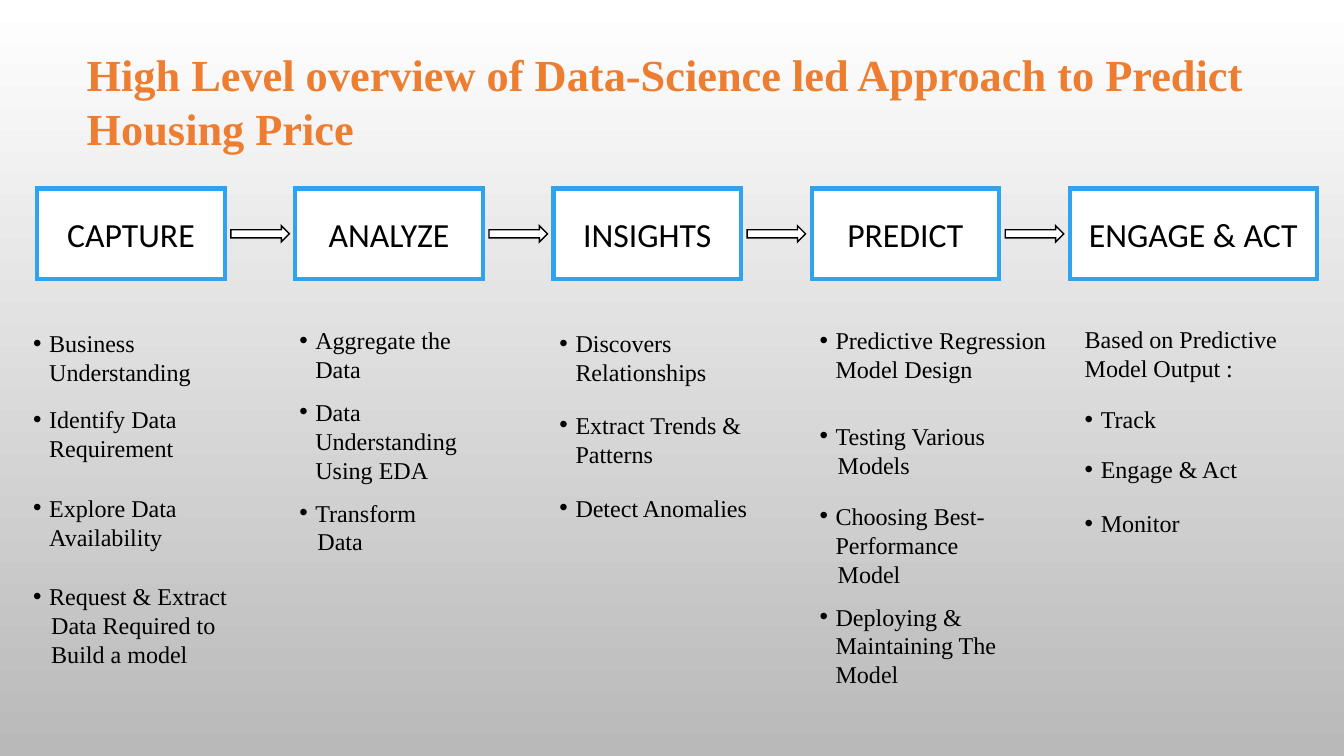
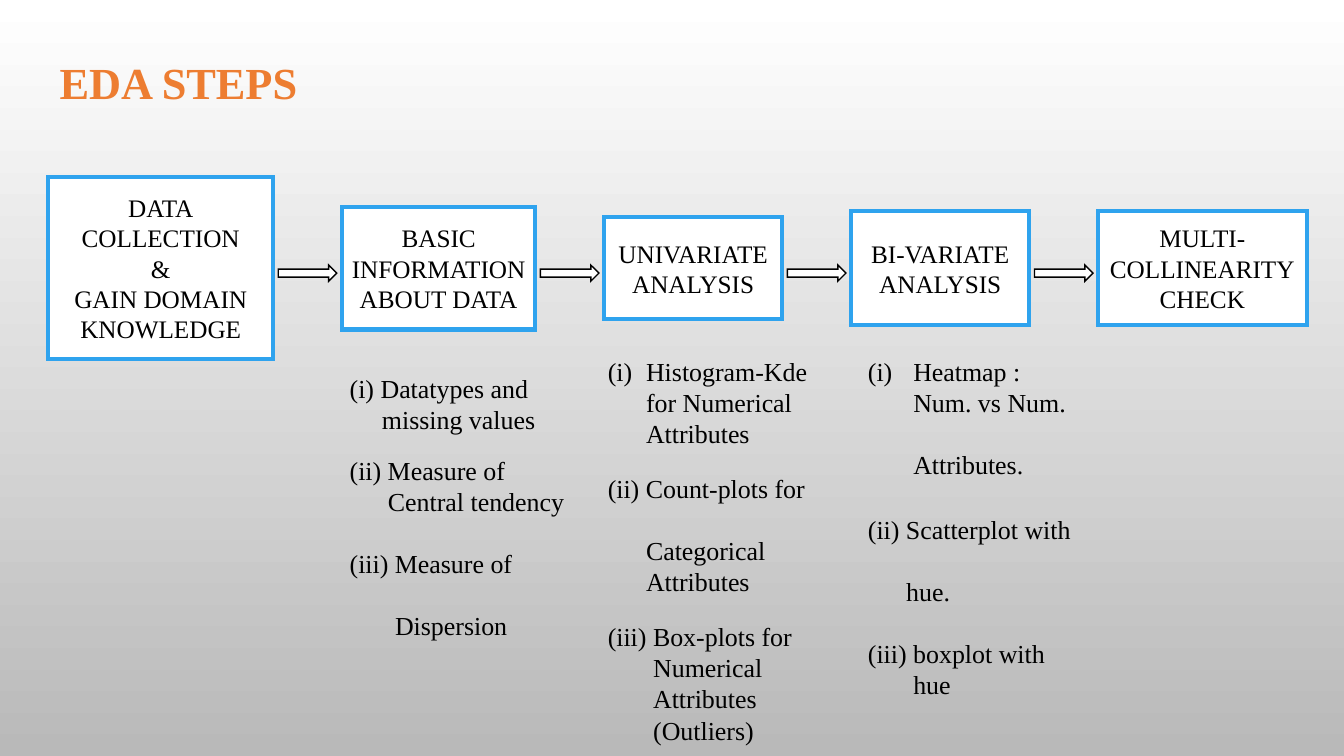
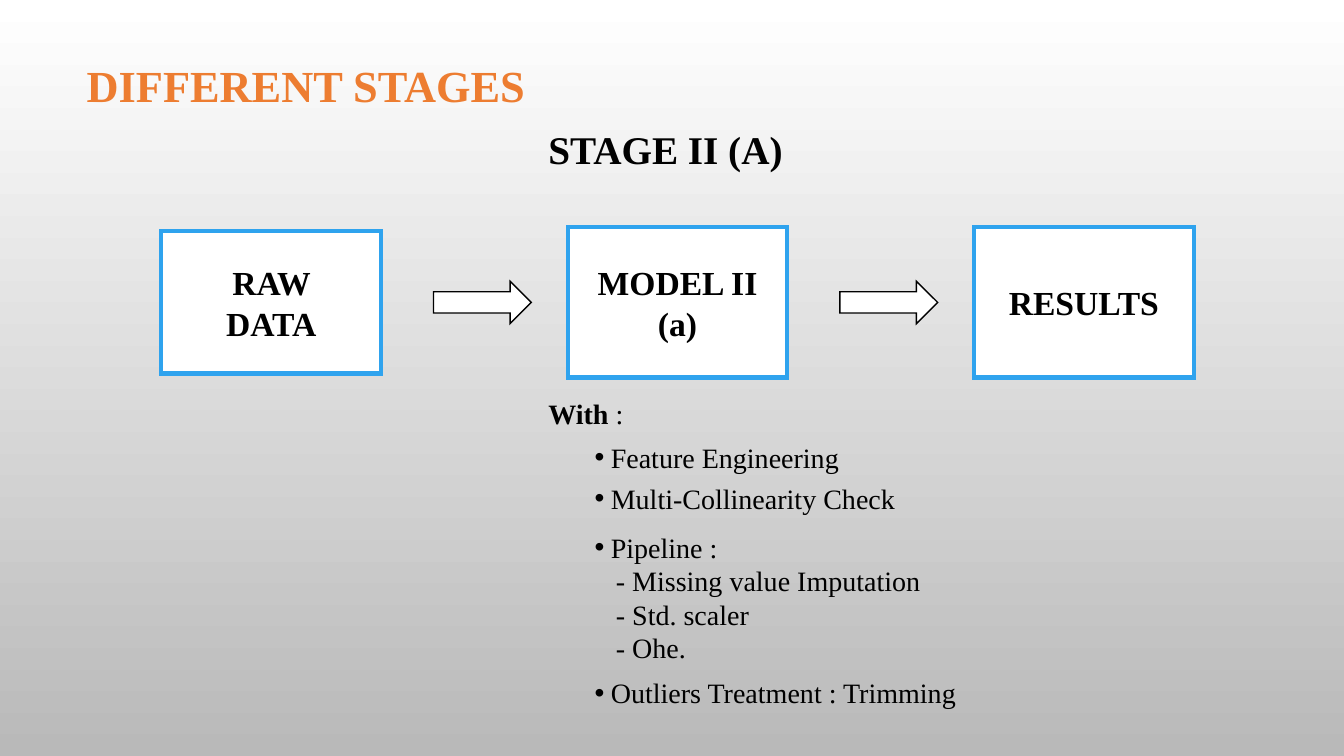
from collections import namedtuple

from lxml import etree
from pptx import Presentation
from pptx import util as u
from pptx.dml.color import RGBColor
from pptx.enum import shapes, text
from pptx.oxml.ns import qn

# All lengths are px, 100 to the inch; gaps between paragraphs and text sizes are points.
PX = 9144
COLORS = {"title": "ED7D31", "ink": "000000", "paper": "FFFFFF",
          "frame": "2FA3EE", "shade": "B9B9B9"}
RGB = {name: RGBColor.from_string(value) for name, value in COLORS.items()}
SERIF, SANS = "Times New Roman", "Calibri"
BULLET, BULLET_HANG = "• ", 16

# Indents of the lines that continue below a bullet or a numbered label
BELOW_BULLET = 18
BELOW_I, BELOW_II, BELOW_III = 32, 38, 45

# "|" in a line ends its bold lead; a tab jumps to the indent.
Line = namedtuple("Line", "text gap indent", defaults=(0, 0))
Note = namedtuple("Note", "box size lines bold", defaults=(False,))
# Steps share one horizontal axis and one spacing, with an arrow in each space.
Flow = namedtuple("Flow", "left axis spacing steps style arrow arrow_shift")
Step = namedtuple("Step", "width height label")
Page = namedtuple("Page", "title title_box flow notes")


def write(frame, lines, size, font=SERIF, bold=False, color="ink",
          align=text.PP_ALIGN.LEFT, inset=10):
    frame.word_wrap = True
    frame.margin_left = frame.margin_right = inset * PX
    frame.margin_top = frame.margin_bottom = 5 * PX
    for number, line in enumerate(lines):
        paragraph = frame.add_paragraph() if number else frame.paragraphs[0]
        paragraph.alignment = align
        paragraph.space_before = u.Pt(line.gap)

        bulleted = line.text.startswith(BULLET)
        pieces = line.text.removeprefix(BULLET).split("|")
        for piece, strong in zip(pieces, (bold, False)):
            run = paragraph.add_run()
            run.text = piece
            run.font.size = u.Pt(size)
            run.font.name = font
            run.font.bold = strong
            run.font.color.rgb = RGB[color]

        if bulleted:
            indent = hang = BULLET_HANG
        else:
            indent = line.indent
            hang = indent if "\t" in line.text else 0
        props = paragraph._p.get_or_add_pPr()
        props.set("marL", str(indent * PX))
        props.set("indent", str(-hang * PX))
        if bulleted:
            etree.SubElement(props, qn("a:buFont")).set("typeface", "Arial")
            etree.SubElement(props, qn("a:buChar")).set("char", BULLET.strip())


def add_block(slide, kind, left, middle, size, line_color, line_width):
    """Add a white outlined shape whose vertical centre is at middle."""
    width, height = size
    block = slide.shapes.add_shape(kind, left * PX, middle * PX - height * PX // 2,
                                   width * PX, height * PX)
    block.shadow.inherit = False
    block.fill.solid()
    block.fill.fore_color.rgb = RGB["paper"]
    block.line.color.rgb = RGB[line_color]
    block.line.width = u.Pt(line_width)
    etree.SubElement(block.line._get_or_add_ln(), qn("a:miter")).set("lim", "800000")
    return block


overview = Page(
    title="High Level overview of Data-Science led Approach to Predict Housing Price",
    title_box=(76, 42, 1193, 117),
    flow=Flow(
        left=37, axis=232, spacing=70,
        steps=[Step(186, 90, label) for label in
               ("CAPTURE", "ANALYZE", "INSIGHTS", "PREDICT")]
        + [Step(245, 90, "ENGAGE & ACT")],
        style={"size": 24.1, "font": SANS, "inset": 5},
        arrow=(58, 16), arrow_shift=(0, 0)),
    notes=[
        Note((23, 321, 218, 349), 17.2, [
            Line("• Business Understanding"),
            Line("• Identify Data Requirement", 13),
            Line("• Explore Data Availability", 22),
            Line("• Request & Extract", 22),
            Line("Data Required to", 0, BELOW_BULLET),
            Line("Build a model", 0, BELOW_BULLET)]),
        Note((287, 318, 206, 240), 17.2, [
            Line("• Aggregate the Data"),
            Line("• Data Understanding Using EDA", 10),
            Line("• Transform", 10),
            Line("Data", 0, BELOW_BULLET)]),
        Note((545, 321, 206, 203), 17.2, [
            Line("• Discovers Relationships"),
            Line("• Extract Trends & Patterns", 17),
            Line("• Detect Anomalies", 18)]),
        Note((803, 318, 250, 371), 17.2, [
            Line("• Predictive Regression Model Design"),
            Line("• Testing Various", 27),
            Line("Models", 0, BELOW_BULLET),
            Line("• Choosing Best-Performance", 16),
            Line("Model", 0, BELOW_BULLET),
            Line("• Deploying & Maintaining The Model", 10)]),
        Note((1066, 317, 245, 222), 17.2, [
            Line("Based on Predictive Model Output :"),
            Line("• Track", 16),
            Line("• Engage & Act", 15),
            Line("• Monitor", 18)]),
    ])

eda = Page(
    title="EDA STEPS",
    title_box=(49, 50, 327, 66),
    flow=Flow(
        left=48, axis=266, spacing=68,
        steps=[
            Step(223, 181, "DATA\nCOLLECTION\n&\nGAIN DOMAIN KNOWLEDGE"),
            Step(192, 122, "BASIC\nINFORMATION ABOUT DATA"),
            Step(177, 101, "UNIVARIATE ANALYSIS"),
            Step(177, 113, "BI-VARIATE ANALYSIS"),
            Step(207, 113, "MULTI-COLLINEARITY\nCHECK")],
        style={"size": 18, "inset": 5},
        arrow=(58, 16), arrow_shift=(0, 5)),
    notes=[
        Note((337, 365, 237, 280), 18.5, [
            Line("(i) Datatypes and"),
            Line("missing values", 0, BELOW_I),
            Line("(ii) Measure of", 14),
            Line("Central tendency", 0, BELOW_II),
            Line("(iii) Measure of", 22),
            Line("Dispersion", 22, BELOW_III)]),
        Note((593, 348, 223, 400), 18.5, [
            Line("(i)\tHistogram-Kde", 0, BELOW_II),
            Line("for Numerical", 0, BELOW_II),
            Line("Attributes", 0, BELOW_II),
            Line("(ii) Count-plots for", 17),
            Line("Categorical", 22, BELOW_II),
            Line("Attributes", 0, BELOW_II),
            Line("(iii) Box-plots for", 17),
            Line("Numerical", 0, BELOW_III),
            Line("Attributes", 0, BELOW_III),
            Line("(Outliers)", 0, BELOW_III)]),
        Note((851, 348, 223, 355), 18.5, [
            Line("(i)\tHeatmap :", 0, BELOW_III),
            Line("Num. vs Num.", 0, BELOW_III),
            Line("Attributes.", 22, BELOW_III),
            Line("(ii) Scatterplot with", 24),
            Line("hue.", 22, BELOW_II),
            Line("(iii) boxplot with", 22),
            Line("hue", 0, BELOW_III)]),
    ])

stages = Page(
    title="DIFFERENT STAGES",
    title_box=(76, 53, 1193, 64),
    flow=Flow(
        left=160, axis=300, spacing=185,
        steps=[
            Step(218, 141, "RAW DATA"),
            Step(218, 149, "MODEL II (a)"),
            Step(218, 149, "RESULTS")],
        style={"size": 24, "bold": True, "inset": 25},
        arrow=(97, 42), arrow_shift=(8, 0)),
    notes=[
        Note((534, 119, 265, 57), 28, [Line("STAGE II (A)")], bold=True),
        Note((534, 388, 206, 44), 20, [Line("With| :")], bold=True),
        Note((580, 432, 384, 278), 20, [
            Line("• Feature Engineering"),
            Line("• Multi-Collinearity Check", 5),
            Line("• Pipeline :", 11),
            Line("- Missing value Imputation", 0, 21),
            Line("- Std. scaler", 0, 21),
            Line("- Ohe.", 0, 21),
            Line("• Outliers Treatment : Trimming", 8)]),
    ])

deck = Presentation()
deck.slide_width, deck.slide_height = 1333 * PX, 750 * PX
title_only = deck.slide_layouts[5]

# One backdrop on the master serves every slide.
backdrop = deck.slide_master.background.fill
backdrop.gradient()
backdrop.gradient_angle = 270
for stop, name, position in zip(backdrop.gradient_stops, ("paper", "shade"), (0, 1)):
    stop.color.rgb = RGB[name]
    stop.position = position

for page in (overview, eda, stages):
    slide = deck.slides.add_slide(title_only)

    title = slide.shapes.title
    title.left, title.top, title.width, title.height = [n * PX for n in page.title_box]
    write(title.text_frame, [Line(page.title)], 31.7, bold=True, color="title")
    title.text_frame.vertical_anchor = text.MSO_ANCHOR.TOP
    title.text_frame.auto_size = text.MSO_AUTO_SIZE.NONE
    title.text_frame.paragraphs[0].line_spacing = 1.0

    flow = page.flow
    arrow_width = flow.arrow[0]
    shift_x, shift_y = flow.arrow_shift
    left = flow.left
    for number, step in enumerate(flow.steps):
        if number:
            arrow_left = left - (flow.spacing + arrow_width) // 2 + shift_x
            add_block(slide, shapes.MSO_SHAPE.RIGHT_ARROW, arrow_left,
                      flow.axis + shift_y, flow.arrow, "ink", 1)
        box = add_block(slide, shapes.MSO_SHAPE.RECTANGLE, left, flow.axis,
                        (step.width, step.height), "frame", 3)
        box.text_frame.vertical_anchor = text.MSO_ANCHOR.MIDDLE
        write(box.text_frame, [Line(part) for part in step.label.split("\n")],
              align=text.PP_ALIGN.CENTER, **flow.style)
        left += step.width + flow.spacing

    for note in page.notes:
        note_box = slide.shapes.add_textbox(*[n * PX for n in note.box])
        write(note_box.text_frame, note.lines, note.size, bold=note.bold)

deck.save("out.pptx")
